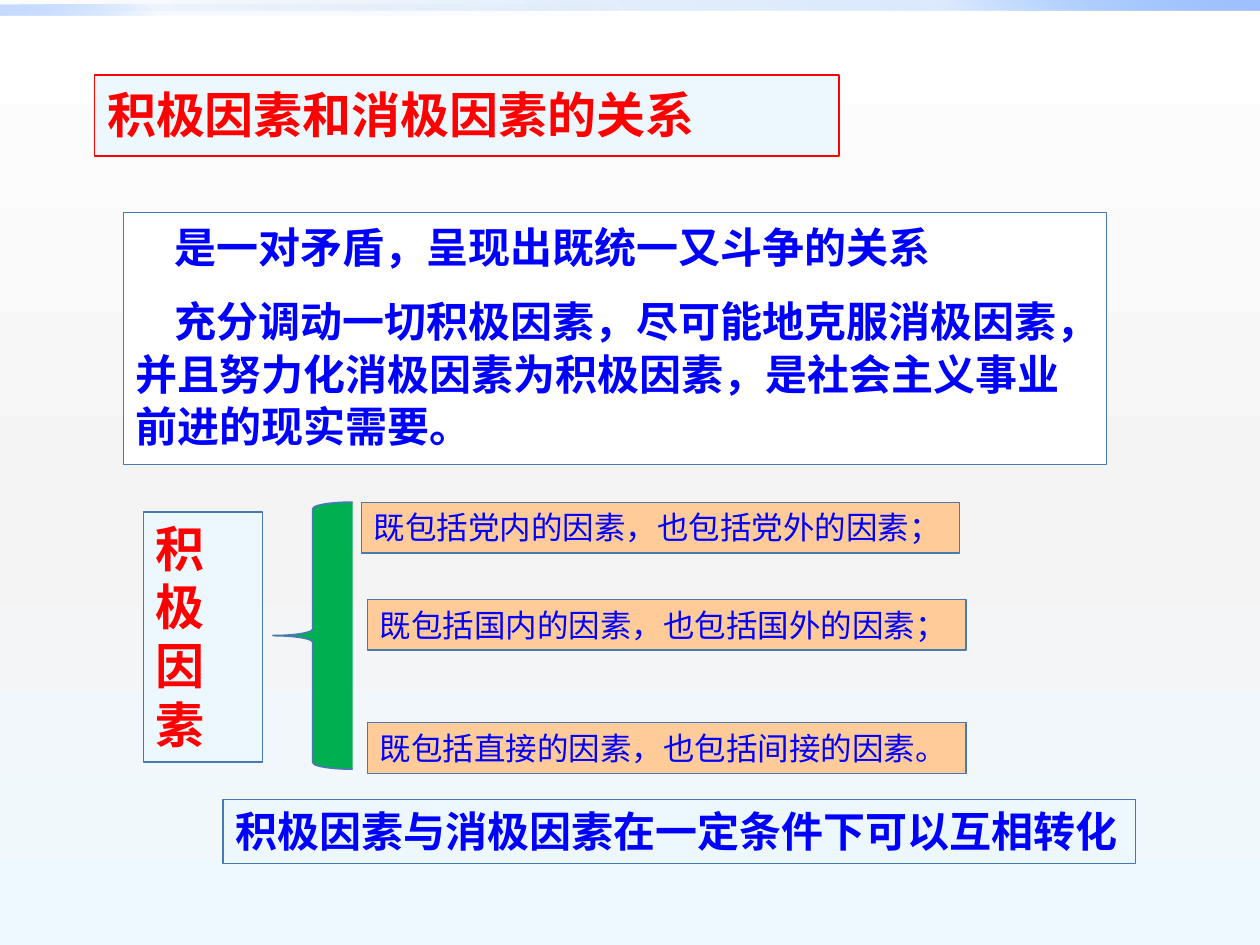
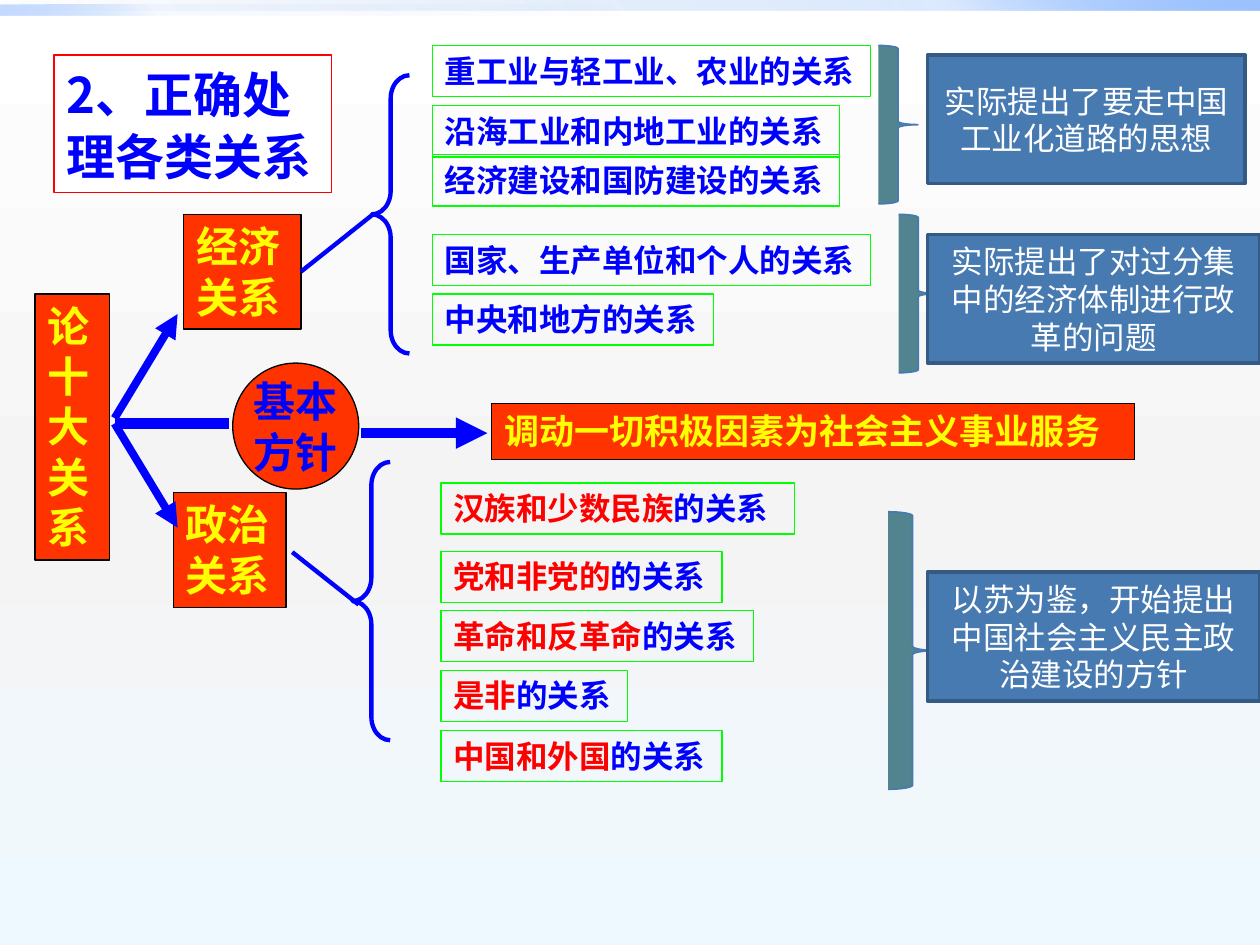
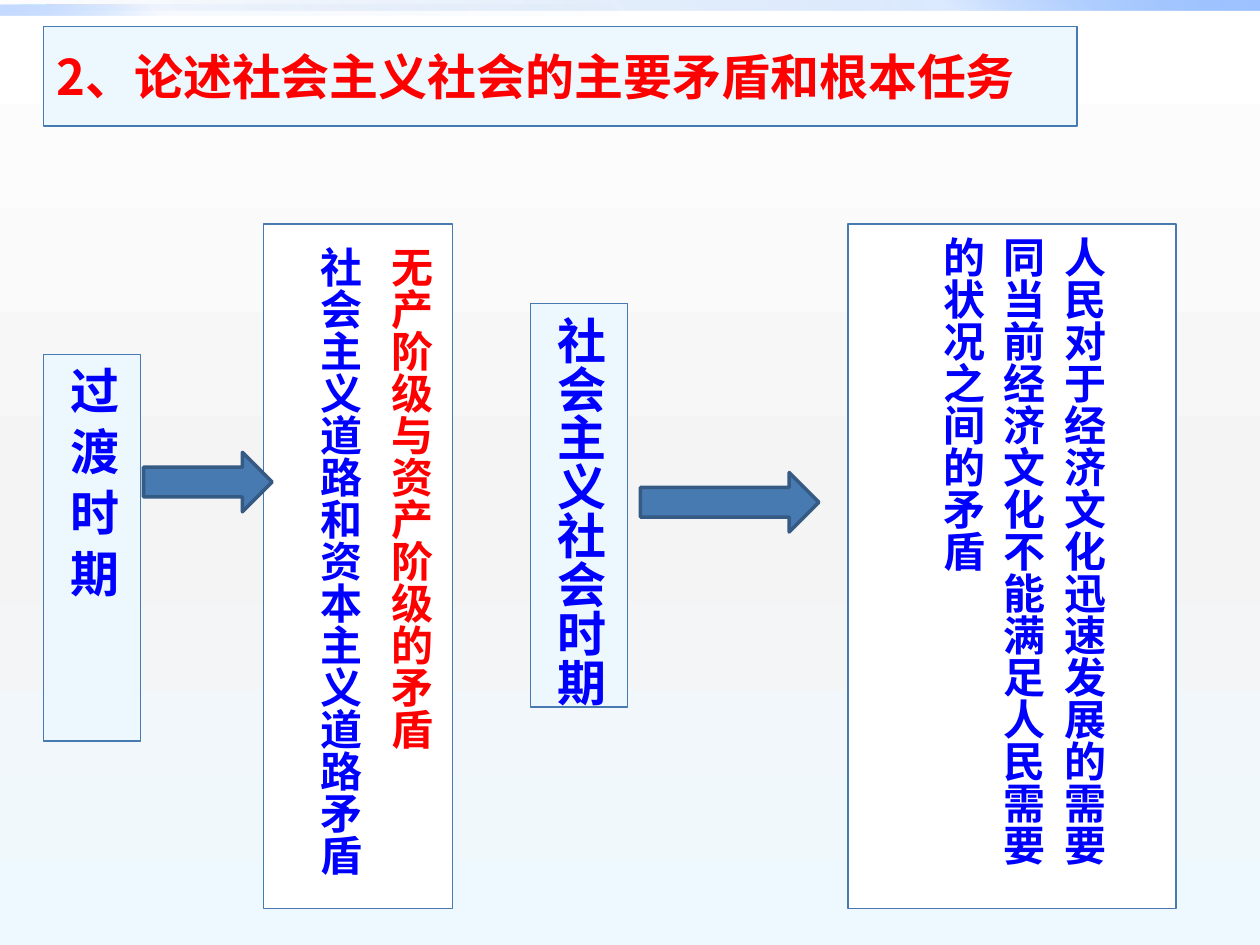
from dataclasses import dataclass, field, replace
from typing import Any, NamedTuple

from lxml import etree
from pptx import Presentation
from pptx.dml.color import RGBColor
from pptx.enum import shapes, text
from pptx.oxml.ns import qn
from pptx.util import Pt

KIND = shapes.MSO_SHAPE
FIT = text.MSO_AUTO_SIZE
SANS, SERIF, TIMES, ARIAL = "Noto Sans CJK SC", "Cambria", "Times New Roman", "Arial"
RED, BLUE, WHITE, BLACK, YELLOW = "FF0000", "0000FF", "FFFFFF", "000000", "FFFF00"
PALE, STEEL, NAVY, ORANGE = "EDF8FE", "477AB1", "355A83", "FF3300"
PEACH, GREEN, LIME, TEAL = "FFCC99", "00B050", "00FF00", "51848E"
LEFT, MID = text.PP_ALIGN.LEFT, text.PP_ALIGN.CENTER
TOP, CENTRE = text.MSO_ANCHOR.TOP, text.MSO_ANCHOR.MIDDLE


class Place(NamedTuple):
    x: float
    y: float
    w: float
    h: float


class Run(NamedTuple):
    words: str
    hue: str


class Stop(NamedTuple):
    pos: int
    hue: str
    alpha: int = 100


@dataclass(frozen=True)
class Look:
    fill: str | None = PALE
    line: str | None = STEEL
    width: float = 0.75
    font: str = SANS
    size: float = 24
    hue: str = BLUE
    bold: bool = True
    align: Any = LEFT
    anchor: Any = TOP
    wrap: bool = True
    fit: Any = FIT.NONE
    vert: bool = False
    space: float = 1.0
    gap: float = 0
    indent: float = 0
    pad: dict[str, float] = field(default_factory=dict)


@dataclass(frozen=True)
class Link:
    start: tuple[float, float]
    end: tuple[float, float]
    width: float
    head: bool = False


# Looks
HEAD = Look(hue=RED, size=28)
FACT = Look(fill=PEACH, font=ARIAL, size=18, bold=False)
TAG = Look(fill=ORANGE, line=BLACK, hue=YELLOW)
TOPIC = Look(fill=None, line=LIME, font=TIMES, size=18)
NOTE = Look(fill=STEEL, line=NAVY, width=2, font=SERIF, size=18, hue=WHITE,
            bold=False, align=MID, anchor=CENTRE)
ARROW = Look(fill=STEEL, line=NAVY, width=2)
CURVE = Look(fill=None, line=BLUE, width=2.5)
SIDE = Look(fill=TEAL, width=1)
PERIOD = Look(size=28, vert=True, space=1.2)
COLUMN = Look(fill=WHITE, vert=True, space=1.2)


def rgb(hue: str) -> RGBColor:
    return RGBColor.from_string(hue)


def put(obj: Any, vals: dict[str, Any]) -> None:
    for key, val in vals.items():
        setattr(obj, key, val)


def paint(shape: Any, look: Look) -> None:
    if look.fill:
        shape.fill.solid()
        shape.fill.fore_color.rgb = rgb(look.fill)
    else:
        shape.fill.background()
    if look.line:
        shape.line.color.rgb = rgb(look.line)
        shape.line.width = Pt(look.width)
    else:
        shape.line.fill.background()


def write(shape: Any, paras: list[list[Run]], look: Look) -> None:
    frame = shape.text_frame
    put(frame, dict(auto_size=look.fit, word_wrap=look.wrap,
                    vertical_anchor=look.anchor))
    put(frame, {f"margin_{side}": Pt(size) for side, size in look.pad.items()})
    if look.vert:
        next(shape.element.iter(qn("a:bodyPr"))).set("vert", "eaVert")
    for i, runs in enumerate(paras):
        para = frame.add_paragraph() if i else frame.paragraphs[0]
        put(para, dict(alignment=look.align, line_spacing=look.space,
                       space_before=Pt(look.gap if i else 0)))
        props = para._p.get_or_add_pPr()
        props.set("marL", "0")
        props.set("indent", str(Pt(look.indent)))
        for words, hue in runs:
            run = para.add_run()
            run.text = words
            put(run.font, dict(size=Pt(look.size), bold=look.bold, name=look.font))
            run.font.color.rgb = rgb(hue)
            latin = next(run._r.iter(qn("a:latin")))
            east = etree.Element(qn("a:ea"), typeface=SANS)
            latin.addnext(east)


def lines(words: str, look: Look) -> list[list[Run]]:
    return [[Run(line, look.hue)] for line in words.split("\n")]


def draw(slide: Any, kind: Any, place: Place, look: Look,
         words: str | list[list[Run]] = "") -> Any:
    shape = slide.shapes.add_shape(kind, *map(Pt, place))
    shape.shadow.inherit = False
    paint(shape, look)
    if words:
        write(shape, lines(words, look) if isinstance(words, str) else words, look)
    return shape


def box(slide: Any, place: Place, look: Look, words: str | list[list[Run]]) -> Any:
    return draw(slide, KIND.RECTANGLE, place, look, words)


def head(slide: Any, place: Place, look: Look, words: str) -> None:
    shape = slide.shapes.title
    put(shape, dict(zip(("left", "top", "width", "height"), map(Pt, place))))
    paint(shape, look)
    write(shape, lines(words, look), look)


def join(slide: Any, link: Link) -> Any:
    line = slide.shapes.add_connector(shapes.MSO_CONNECTOR.STRAIGHT,
                                      *map(Pt, link.start + link.end))
    line.line.color.rgb = rgb(BLUE)
    line.line.width = Pt(link.width)
    if link.head:
        edge = next(line.element.iter(qn("a:ln")))
        etree.SubElement(edge, qn("a:tailEnd"), type="triangle")
    etree.SubElement(line.element.spPr, qn("a:effectLst"))
    return line


def blend(host: Any, fill: Any, stops: list[Stop], angle: int) -> None:
    """Give a fill a linear gradient, with the angle clockwise in degrees."""
    fill.gradient()
    node = next(host.element.iter(qn("a:gradFill")))
    node.find(qn("a:lin")).set("ang", str(angle * 60000))
    group = node.find(qn("a:gsLst"))
    for old in list(group):
        group.remove(old)
    for stop in stops:
        mark = etree.SubElement(group, qn("a:gs"), pos=str(stop.pos * 1000))
        tint = etree.SubElement(mark, qn("a:srgbClr"), val=stop.hue)
        etree.SubElement(tint, qn("a:alpha"), val=str(stop.alpha * 1000))


def dress(master: Any, slide: Any) -> None:
    """Set the master's background and move two bands onto it from a slide."""
    blend(master, master.background.fill,
          [Stop(0, WHITE), Stop(55, "F4F4F4"), Stop(100, "EEF9FF")], 90)
    bands = [(Place(0, 0, 720, 5.76), 20, 100, 315),
             (Place(0, 2.88, 360, 5.76), 5, 60, 135)]
    for i, (place, mid, last, angle) in enumerate(bands):
        band = draw(slide, KIND.RECTANGLE, place, Look(line=None))
        blend(band, band.fill, [Stop(0, "0058B7", 0), Stop(75, "4F95FF", mid),
                                Stop(100, "9EC2FF", last)], angle)
        master.shapes.element.insert(2 + i, band.element)


def factors(slide: Any) -> None:
    head(slide, Place(54, 43, 425.5, 46),
         replace(HEAD, line=RED, width=1, font=SERIF, space=1.05),
         "积极因素和消极因素的关系")
    box(slide, Place(70.5, 121.5, 562, 144),
        Look(fill=WHITE, space=1.05, gap=12, indent=22),
        "是一对矛盾，呈现出既统一又斗争的关系\n"
        "充分调动一切积极因素，尽可能地克服消极因素，"
        "并且努力化消极因素为积极因素，是社会主义事业前进的现实需要。")
    box(slide, Place(82, 292.5, 68, 143), replace(HEAD, font=SERIF), "积极因素")
    box(slide, Place(127.5, 457, 521.5, 36.5), Look(),
        "积极因素与消极因素在一定条件下可以互相转化")
    draw(slide, KIND.LEFT_BRACE, Place(156, 287, 45.5, 152.5),
         Look(fill=GREEN, width=1))
    facts = [(206.5, 287, "党内", "党外", "；"), (210, 342.5, "国内", "国外", "；"),
             (210, 413, "直接", "间接", "。")]
    for x, y, near, far, stop in facts:
        box(slide, Place(x, y, 342, 29), FACT,
            f"既包括{near}的因素，也包括{far}的因素{stop}")


def relations(slide: Any) -> None:
    head(slide, Place(31, 31.5, 158.5, 78.5),
         replace(HEAD, fill=WHITE, line=RED, width=1, hue=BLUE, space=1.05),
         "2、正确处理各类关系")
    box(slide, Place(20, 168, 42.5, 152), TAG, "论十大关系")
    box(slide, Place(99, 281.5, 64.5, 65.5), TAG, "政治关系")
    econ = box(slide, Place(105, 122.5, 67, 65.5), TAG, "经济关系")
    box(slide, Place(281, 230.5, 367.5, 32), replace(TAG, size=20),
        "调动一切积极因素为社会主义事业服务")
    draw(slide, KIND.OVAL, Place(133, 207.5, 72, 72),
         replace(TAG, hue=BLUE, align=MID, anchor=CENTRE, wrap=False), "基本\n方针")
    for link in (Link((65.5, 239), (101.5, 179.5), 4.5, True),
                 Link((65.5, 242), (101.5, 301.5), 4.5, True),
                 Link((206.5, 247.5), (278.5, 247.5), 6, True),
                 Link((65.5, 242), (131, 242), 6),
                 Link((167, 315.5), (205, 345.5), 2.5)):
        join(slide, link)
    join(slide, Link((172, 155), (212.5, 123), 2.5)).begin_connect(econ, 3)

    topics = [(247, 26, "", "重工业与轻工业、农业"), (247, 60.5, "", "沿海工业和内地工业"),
              (247, 88.5, "", "经济建设和国防建设"), (247, 134, "", "国家、生产单位和个人"),
              (247, 168, "", "中央和地方"),
              (252, 276, "汉族和少数民族", ""), (252, 315, "党和非党的", ""),
              (252, 349, "革命和反革命", ""), (252, 383, "是非", ""),
              (252, 417.5, "中国和外国", "")]
    for x, y, hot, cool in topics:
        runs = [Run(hot, RED)] if hot else []
        runs.append(Run(cool + "的关系", BLUE))
        count = sum(len(run.words) for run in runs)
        extra = 5.5 if hot.startswith("汉族") else 0
        box(slide, Place(x, y, 18 * count + 16.6 + extra, 29.25), TOPIC, [runs])

    for x, y in ((212.5, 43), (201.5, 264)):
        curve = draw(slide, KIND.LEFT_BRACE, Place(x, y, 21.5, 159), CURVE)
        curve.adjustments[0] = 0.62
    for place in (Place(502, 26, 22.5, 90.5), Place(513.5, 122.5, 22.5, 90.5),
                  Place(507.5, 292.5, 28, 158.5)):
        draw(slide, KIND.RIGHT_BRACE, place, SIDE)
    for y, w, words in ((31.5, 181.5, "实际提出了要走中国工业化道路的思想"),
                        (134, 190, "实际提出了对过分集中的经济体制进行改革的问题"),
                        (327, 190, "以苏为鉴，开始提出中国社会主义民主政治建设的方针")):
        box(slide, Place(530, y, w, 73.5), NOTE, words)


def tasks(slide: Any) -> None:
    head(slide, Place(25, 15, 590.5, 57), replace(HEAD, anchor=CENTRE),
         "2、论述社会主义社会的主要矛盾和根本任务")
    box(slide, Place(150.5, 128, 108, 391), replace(COLUMN, gap=6, indent=6),
        [[Run("无产阶级与资产阶级的矛盾", RED)],
         [Run("社会主义道路和资本主义道路矛盾", BLUE)]])
    box(slide, Place(25, 202.5, 55.5, 221), PERIOD, "过 渡 时 期")
    box(slide, Place(303, 173.5, 55.5, 230.5),
        replace(PERIOD, wrap=False, fit=FIT.SHAPE_TO_FIT_TEXT), "社会主义社会时期")
    box(slide, Place(484.5, 128, 187.5, 391), replace(COLUMN, pad=dict(right=32.5)),
        "人民对于经济文化迅速发展的需要同当前经济文化不能满足人民需要的状况之间的矛盾")
    for place in (Place(82, 258.5, 73.5, 34), Place(366, 270, 102, 34)):
        draw(slide, KIND.RIGHT_ARROW, place, ARROW)


def main() -> None:
    deck = Presentation()
    put(deck, dict(slide_width=Pt(720), slide_height=Pt(540)))
    for i, fill in enumerate((factors, relations, tasks)):
        slide = deck.slides.add_slide(deck.slide_layouts[5])
        if i == 0:
            dress(deck.slide_master, slide)
        fill(slide)
    deck.save("out.pptx")


if __name__ == "__main__":
    main()
